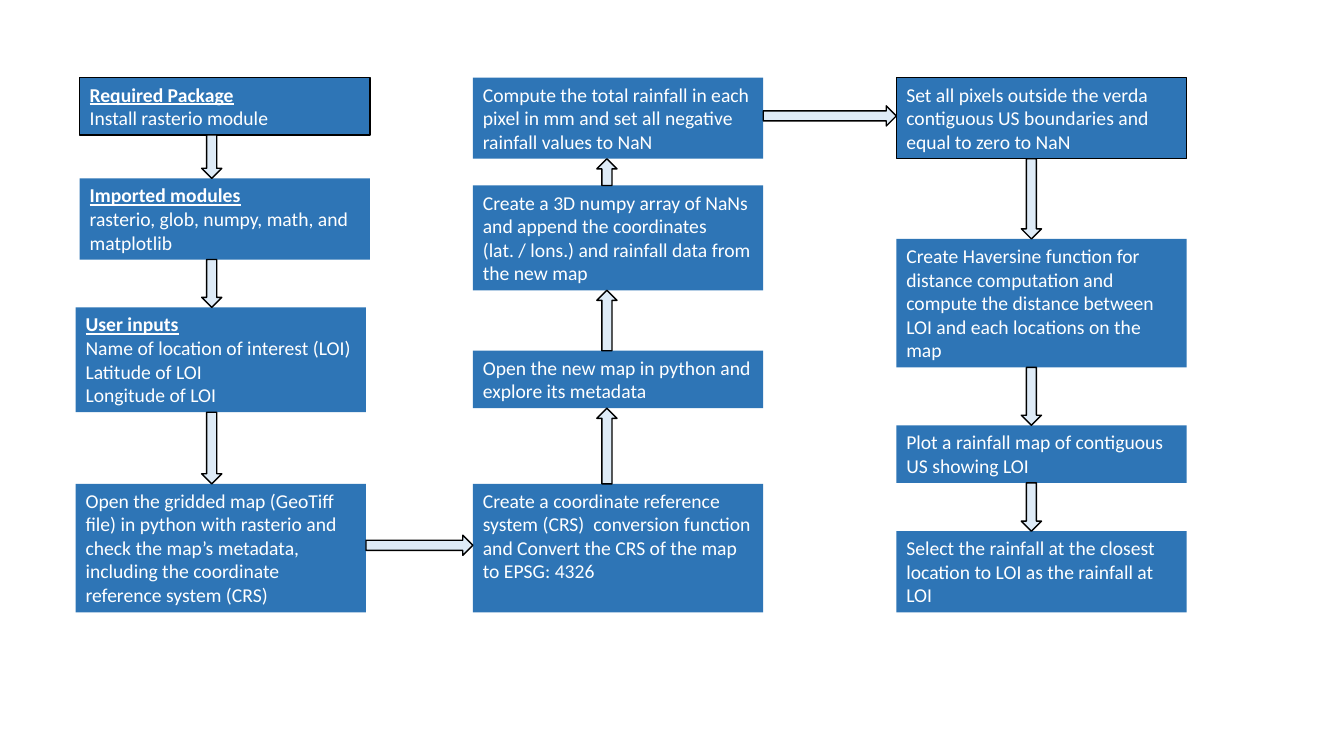
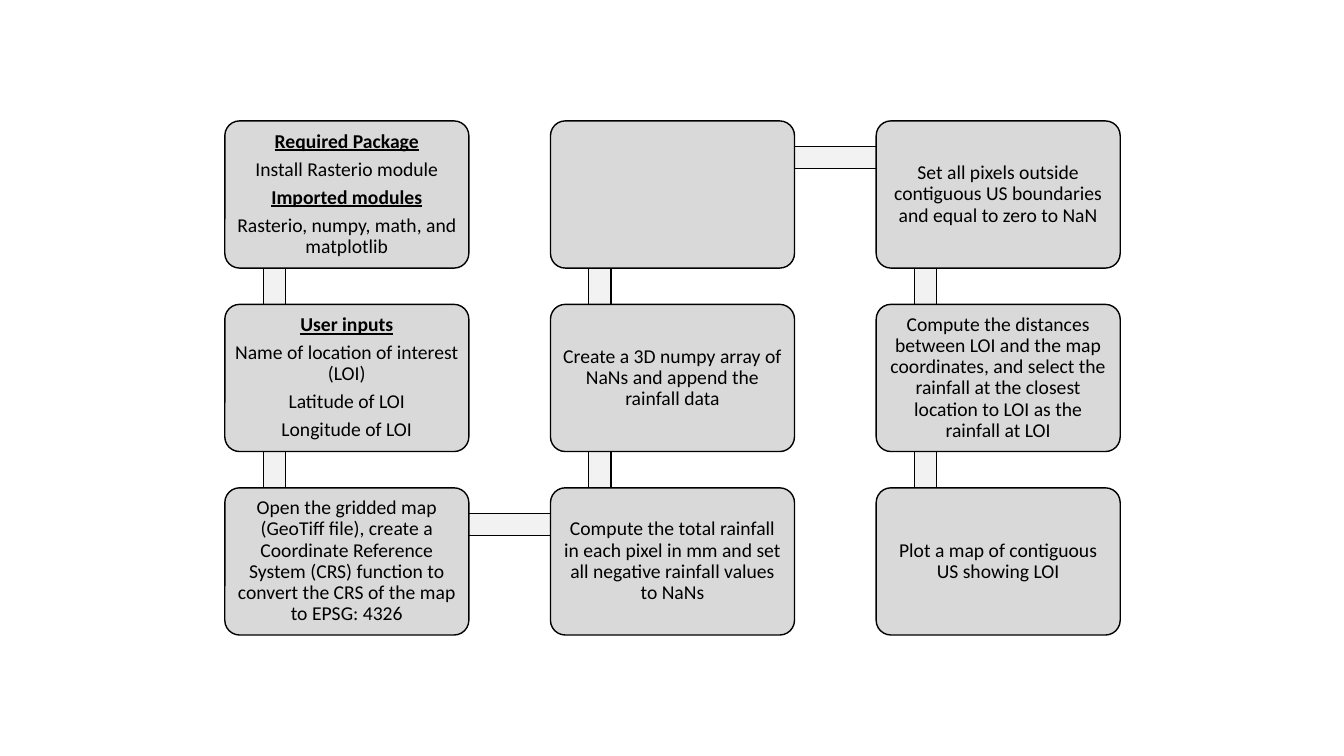
from dataclasses import dataclass
from itertools import pairwise

from pptx import Presentation
from pptx.dml.color import RGBColor
from pptx.enum.shapes import MSO_SHAPE as Preset
from pptx.enum.text import MSO_ANCHOR as Anchor, PP_ALIGN as Align
from pptx.shapes.autoshape import Shape
from pptx.slide import Slide
from pptx.util import Inches, Pt

BLACK = RGBColor(0x00, 0x00, 0x00)
WHITE = RGBColor(0xFF, 0xFF, 0xFF)
BLUE = RGBColor(0x2E, 0x75, 0xB6)
PALE_BLUE = RGBColor(0xDE, 0xEB, 0xF7)
GREY = RGBColor(0xD9, 0xD9, 0xD9)
PALE_GREY = RGBColor(0xF2, 0xF2, 0xF2)

FONT = "Calibri"
TEXT_SIZE = Pt(14)
HEADINGS = {"Required Package", "Imported modules", "User inputs"}

STEP_WIDTH = 2.88
ARROW_THICKNESS = 0.2

CARD_WIDTH, CARD_HEIGHT = 2.42, 1.46
CARD_LEFT, CARD_TOP = 2.23, 1.2
COLUMN_PITCH, ROW_PITCH = 3.23, 1.82
BAR_THICKNESS = 0.22


@dataclass(frozen=True)
class Step:
    left: float
    top: float
    lines: int
    text: str
    outlined: bool = False

    @property
    def bottom(self) -> float:
        return self.top + 0.1 + 0.47 * self.lines / 2


@dataclass(frozen=True)
class StepColumn:
    arrow_center: float
    steps: tuple[Step, ...]


@dataclass(frozen=True)
class Card:
    column: int
    row: int
    text: str

    @property
    def left(self) -> float:
        return CARD_LEFT + self.column * COLUMN_PITCH

    @property
    def top(self) -> float:
        return CARD_TOP + self.row * ROW_PITCH


STEP_COLUMNS = (
    StepColumn(2.1, (
        Step(0.79, 0.77, 2, "Required Package\nInstall rasterio module", True),
        Step(0.79, 1.77, 3, "Imported modules\nrasterio, glob, numpy, math, and matplotlib"),
        Step(0.75, 3.05, 4, "User inputs\nName of location of interest (LOI)\n"
                            "Latitude of LOI\nLongitude of LOI"),
        Step(0.75, 4.8, 5, "Open the gridded map (GeoTiff file) in python with rasterio and check "
                           "the map’s metadata, including the coordinate reference system (CRS)"),
    )),
    StepColumn(6.02, (
        Step(4.69, 0.77, 3, "Compute the total rainfall in each pixel in mm and set all negative "
                            "rainfall values to NaN"),
        Step(4.69, 1.84, 4, "Create a 3D numpy array of NaNs and append the coordinates "
                            "(lat. / lons.) and rainfall data from the new map"),
        Step(4.69, 3.48, 2, "Open the new map in python and explore its metadata"),
        Step(4.69, 4.8, 5, "Create a coordinate reference system (CRS)  conversion function "
                           "and Convert the CRS of the map to EPSG: 4326"),
    )),
    StepColumn(10.23, (
        Step(8.89, 0.77, 3, "Set all pixels outside the verda contiguous US boundaries and "
                            "equal to zero to NaN", True),
        Step(8.89, 2.37, 5, "Create Haversine function for distance computation and compute "
                            "the distance between LOI and each locations on the map"),
        Step(8.89, 4.22, 2, "Plot a rainfall map of contiguous US showing LOI"),
        Step(8.89, 5.27, 3, "Select the rainfall at the closest location to LOI as the "
                            "rainfall at LOI"),
    )),
)

CARDS = (
    Card(0, 0, "Required Package\nInstall Rasterio module\nImported modules\n"
               "Rasterio, numpy, math, and matplotlib"),
    Card(0, 1, "User inputs\nName of location of interest (LOI)\nLatitude of LOI\nLongitude of LOI"),
    Card(0, 2, "Open the gridded map (GeoTiff file), create a Coordinate Reference System (CRS) "
               "function to convert the CRS of the map to EPSG: 4326"),
    Card(1, 2, "Compute the total rainfall in each pixel in mm and set all negative rainfall "
               "values to NaNs"),
    Card(1, 1, "Create a 3D numpy array of NaNs and append the rainfall data"),
    Card(1, 0, ""),
    Card(2, 0, "Set all pixels outside contiguous US boundaries and equal to zero to NaN"),
    Card(2, 1, "Compute the distances between LOI and the map coordinates, and select the "
               "rainfall at the closest location to LOI as the rainfall at LOI"),
    Card(2, 2, "Plot a map of contiguous US showing LOI"),
)


def add_block(slide: Slide, preset: Preset, left: float, top: float, width: float,
              height: float, fill: RGBColor, line_width: float) -> Shape:
    shape = slide.shapes.add_shape(
        preset, Inches(left), Inches(top), Inches(width), Inches(height))
    shape.shadow.inherit = False
    shape.fill.solid()
    shape.fill.fore_color.rgb = fill
    if line_width:
        shape.line.color.rgb = BLACK
        shape.line.width = Pt(line_width)
    else:
        shape.line.fill.background()
    return shape


def write_text(shape: Shape, text: str, color: RGBColor, align: Align, anchor: Anchor) -> None:
    frame = shape.text_frame
    frame.word_wrap = True
    frame.vertical_anchor = anchor
    frame.text = text
    for paragraph in frame.paragraphs:
        paragraph.alignment = align
        for run in paragraph.runs:
            run.font.name = FONT
            run.font.size = TEXT_SIZE
            run.font.color.rgb = color
            run.font.bold = run.font.underline = run.text in HEADINGS


def add_step(slide: Slide, step: Step) -> None:
    shape = add_block(slide, Preset.RECTANGLE, step.left, step.top, STEP_WIDTH,
                      step.bottom - step.top, BLUE, 0.75 if step.outlined else 0)
    write_text(shape, step.text, WHITE, Align.LEFT, Anchor.TOP)


def add_vertical_arrow(slide: Slide, preset: Preset, center: float, upper: Step,
                       lower: Step) -> None:
    add_block(slide, preset, center - ARROW_THICKNESS / 2, upper.bottom, ARROW_THICKNESS,
              lower.top - upper.bottom, PALE_BLUE, 1)


def add_right_arrow(slide: Slide, start: Step, end: Step, center: float) -> None:
    left = start.left + STEP_WIDTH
    add_block(slide, Preset.RIGHT_ARROW, left, center - ARROW_THICKNESS / 2,
              end.left - left, ARROW_THICKNESS, PALE_BLUE, 1)


def add_bar(slide: Slide, start: Card, end: Card) -> None:
    if start.column == end.column:
        add_block(slide, Preset.RECTANGLE, start.left + 0.38, min(start.top, end.top) + 0.36,
                  BAR_THICKNESS, ROW_PITCH, PALE_GREY, 0.75)
    else:
        add_block(slide, Preset.RECTANGLE, start.left + 0.49, start.top + 0.25,
                  COLUMN_PITCH, BAR_THICKNESS, PALE_GREY, 0.75)


def add_card(slide: Slide, card: Card) -> None:
    shape = add_block(slide, Preset.ROUNDED_RECTANGLE, card.left, card.top,
                      CARD_WIDTH, CARD_HEIGHT, GREY, 1)
    shape.adjustments[0] = 0.1
    if not card.text:
        return
    frame = shape.text_frame
    frame.margin_left = frame.margin_right = Inches(0.06)
    frame.margin_top = frame.margin_bottom = Inches(0.06)
    write_text(shape, card.text, BLACK, Align.CENTER, Anchor.MIDDLE)
    for paragraph in frame.paragraphs:
        paragraph.line_spacing = 0.9
        paragraph.space_after = Pt(4.9)


def build_detailed_flow(slide: Slide) -> None:
    for column in STEP_COLUMNS:
        for step in column.steps:
            add_step(slide, step)
    first, second, third = STEP_COLUMNS
    for column, preset in ((first, Preset.DOWN_ARROW), (second, Preset.UP_ARROW),
                           (third, Preset.DOWN_ARROW)):
        for upper, lower in pairwise(column.steps):
            add_vertical_arrow(slide, preset, column.arrow_center, upper, lower)
    add_right_arrow(slide, first.steps[-1], second.steps[-1], 5.41)
    add_right_arrow(slide, second.steps[0], third.steps[0], 1.15)


def build_card_flow(slide: Slide) -> None:
    for start, end in pairwise(CARDS):
        add_bar(slide, start, end)
    for card in CARDS:
        add_card(slide, card)


def main() -> None:
    presentation = Presentation()
    presentation.slide_width = Inches(13.33)
    presentation.slide_height = Inches(7.5)
    blank_layout = presentation.slide_layouts[6]
    for build in (build_detailed_flow, build_card_flow):
        build(presentation.slides.add_slide(blank_layout))
    presentation.save("out.pptx")


main()
